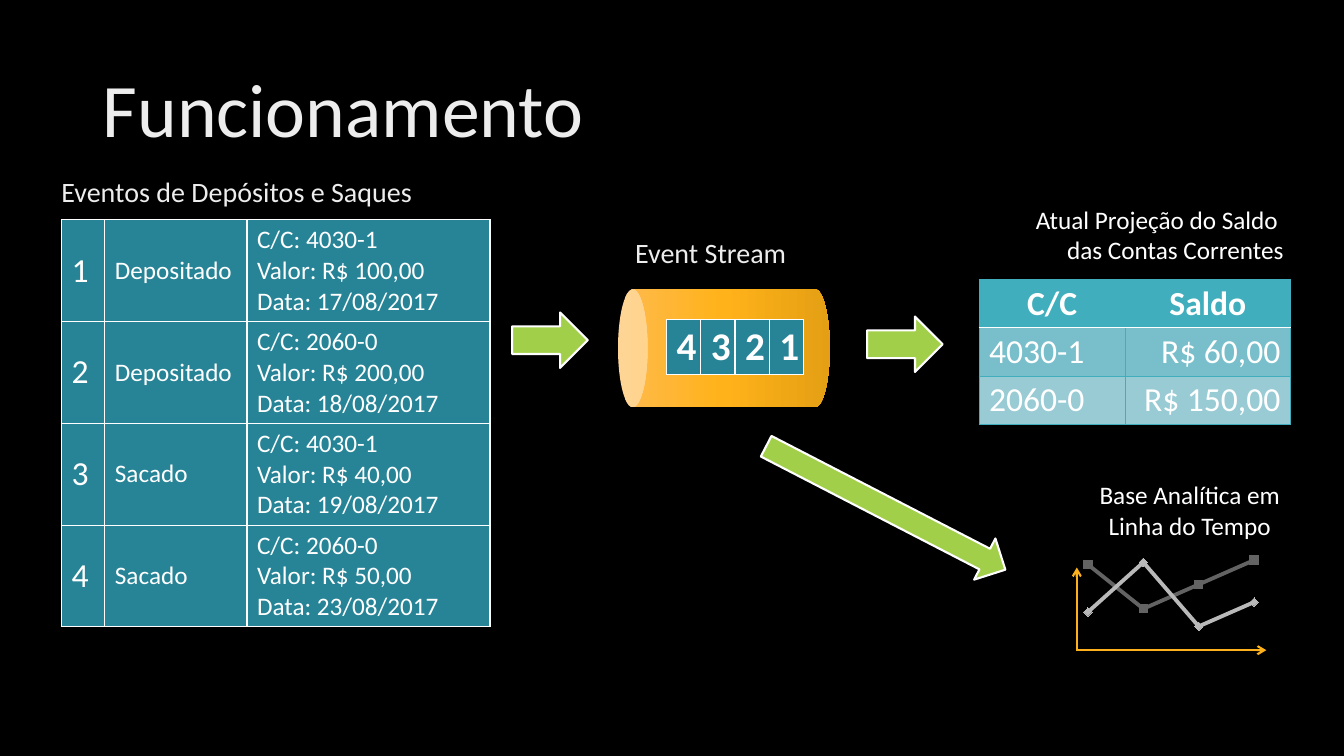
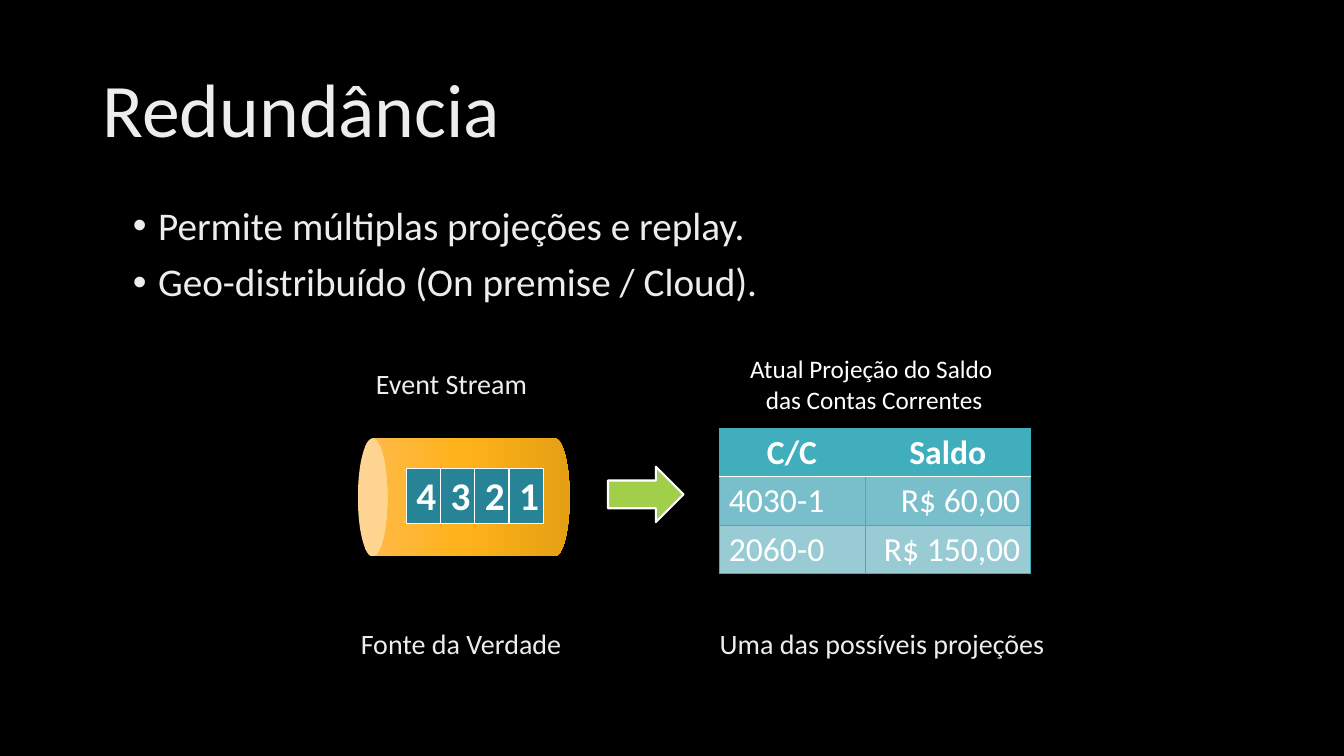
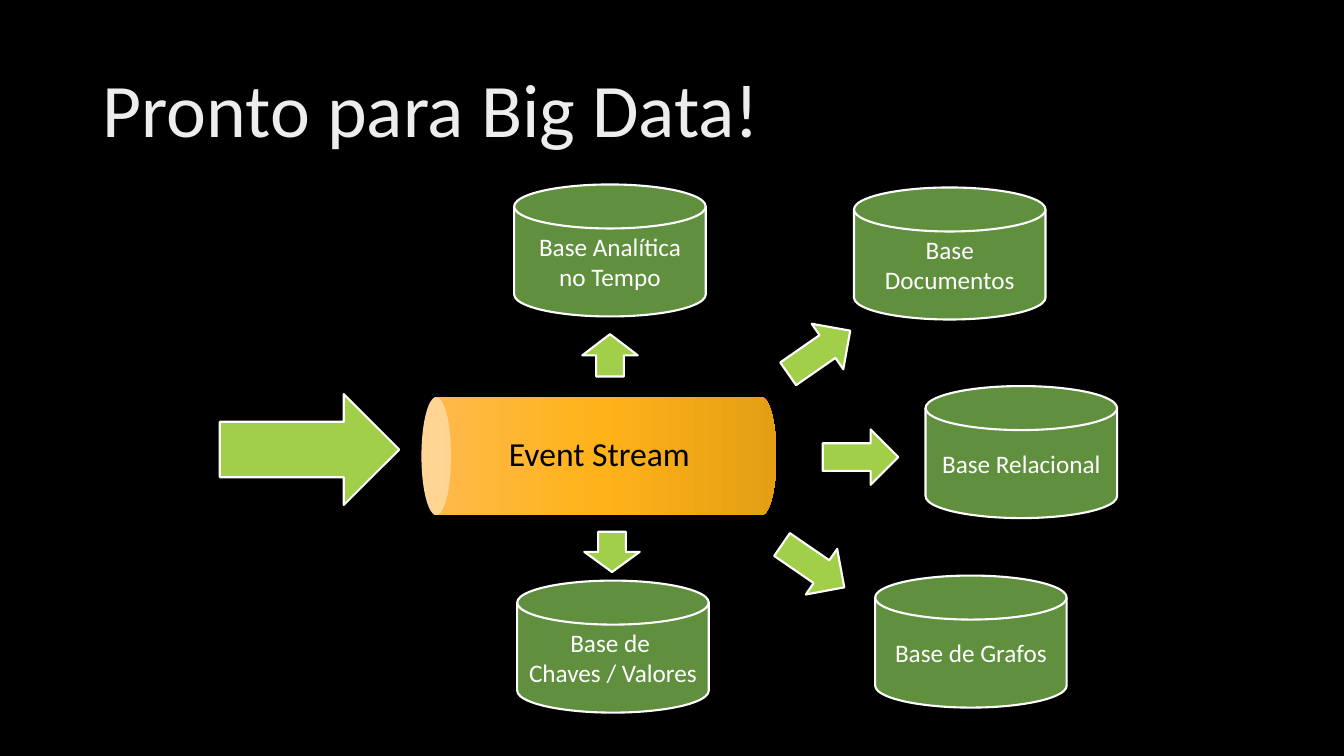
from lxml import etree
from pptx import Presentation
from pptx.chart.data import CategoryChartData
from pptx.dml.color import RGBColor
from pptx.enum.chart import XL_CHART_TYPE, XL_MARKER_STYLE
from pptx.enum.shapes import MSO_CONNECTOR, MSO_SHAPE
from pptx.enum.text import MSO_ANCHOR, PP_ALIGN
from pptx.oxml import parse_xml
from pptx.oxml.ns import nsdecls, qn
from pptx.util import Pt

SCALE = 9144  # EMU per px, 100 px to the inch
FONT = "Calibri"
COLORS = {
    "background": "000000", "white": "FFFFFF", "heading": "EDEDED", "black": "000000",
    "event": "268496", "header": "41AEBD", "row_odd": "78BFCB", "row_even": "99CBD4",
    "arrow": "A2CF49", "database": "608F3D", "axis": "FCB11C",
    "series_dark": "636363", "series_light": "B9B9B9",
}
STREAM_STOPS = [(0, "FFBA4F"), (50, "FFB219"), (100, "E59F14")]
LEFT, CENTER, RIGHT = PP_ALIGN.LEFT, PP_ALIGN.CENTER, PP_ALIGN.RIGHT
TOP, MIDDLE = MSO_ANCHOR.TOP, MSO_ANCHOR.MIDDLE


def px(n):
    return round(n * SCALE)


def rgb(name):
    return RGBColor.from_string(COLORS[name])


# Text
def write(tf, text, size, color="white", align=LEFT, bold=False, spacing=None):
    tf.text = text
    for p in tf.paragraphs:
        p.alignment = align
        if spacing:
            p.line_spacing = spacing
        for r in p.runs:
            r.font.name, r.font.size, r.font.bold = FONT, Pt(size), bold
            r.font.color.rgb = rgb(color)


def add_text(s, box, text, size, anchor=TOP, wrap=True, **style):
    tf = s.shapes.add_textbox(*map(px, box)).text_frame
    tf.word_wrap = wrap
    tf.vertical_anchor = anchor
    write(tf, text, size, **style)
    return tf


def add_label(s, x, y, w, text):
    add_text(s, (x, y, w, 88), text, 20, MIDDLE, color="heading", spacing=0.9)


def add_bullets(s, box, items):
    tf = add_text(s, box, "\n".join(items), 28, color="heading", spacing=0.9)
    for i, p in enumerate(tf.paragraphs):
        pPr = p._p.get_or_add_pPr()
        pPr.set("marL", str(px(25)))
        pPr.set("indent", str(px(-25)))
        etree.SubElement(pPr, qn("a:buFont")).set("typeface", "Arial")
        etree.SubElement(pPr, qn("a:buChar")).set("char", "•")
        if i:
            p.space_before = Pt(10)


# Shapes
def add_shape(s, kind, box, fill, rotation=0):
    sp = s.shapes.add_shape(kind, *map(px, box))
    sp.shadow.inherit = False
    sp.rotation = rotation
    sp.fill.solid()
    sp.fill.fore_color.rgb = rgb(fill)
    sp.line.color.rgb = rgb("white")
    sp.line.width = Pt(1.5)
    return sp


def add_arrow(s, x, y, w=75, h=55, rotation=0):
    add_shape(s, MSO_SHAPE.RIGHT_ARROW, (x, y, w, h), "arrow", rotation)


def add_database(s, x, y, text):
    sp = add_shape(s, MSO_SHAPE.FLOWCHART_MAGNETIC_DISK, (x, y, 190, 131), "database")
    sp.text_frame.word_wrap = True
    sp.text_frame.vertical_anchor = MIDDLE
    write(sp.text_frame, text, 18, align=CENTER)


def add_stream(s, x, y, length):
    """A can lying on its side, with x, y as its visible top left corner."""
    h = 117
    shift = (length - h) / 2
    sp = s.shapes.add_shape(MSO_SHAPE.CAN, px(x + shift), px(y - shift), px(h), px(length))
    sp.rotation = 270
    sp.shadow.inherit = False
    sp.line.fill.background()
    stops = "".join(f'<a:gs pos="{pos * 1000}"><a:srgbClr val="{c}"/></a:gs>'
                    for pos, c in STREAM_STOPS)
    gradient = parse_xml(f'<a:gradFill {nsdecls("a")} rotWithShape="1"><a:gsLst>{stops}'
                         '</a:gsLst><a:lin ang="5400000" scaled="0"/></a:gradFill>')
    sp._element.spPr.find(qn("a:prstGeom")).addnext(gradient)


def add_axis(s, x1, y1, x2, y2):
    line = s.shapes.add_connector(MSO_CONNECTOR.STRAIGHT, *map(px, (x1, y1, x2, y2)))
    line.line.color.rgb = rgb("axis")
    line.line.width = Pt(1.5)
    etree.SubElement(line.line._get_or_add_ln(), qn("a:tailEnd")).set("type", "arrow")
    etree.SubElement(line._element.spPr, qn("a:effectLst"))


# Tables
def add_table(s, x, y, widths, row_height, rows):
    frame = s.shapes.add_table(rows, len(widths), px(x), px(y),
                               px(sum(widths)), px(row_height * rows))
    table = frame.table
    table.first_row = table.horz_banding = False
    for column, w in zip(table.columns, widths):
        column.width = px(w)
    for row in table.rows:
        row.height = px(row_height)
    return table


def fill_cell(cell, text, size, fill, borders, margin=5, anchor=TOP, **style):
    """borders gives (colour, points) for the left, right, top and bottom edges."""
    cell.fill.solid()
    cell.fill.fore_color.rgb = rgb(fill)
    cell.margin_top = cell.margin_bottom = px(margin)
    cell.vertical_anchor = anchor
    write(cell.text_frame, text, size, **style)
    tcPr = cell._tc.get_or_add_tcPr()
    for i, (side, (color, width)) in enumerate(zip("LRTB", borders)):
        tcPr.insert(i, parse_xml(
            f'<a:ln{side} {nsdecls("a")} w="{Pt(width)}"><a:solidFill>'
            f'<a:srgbClr val="{COLORS[color]}"/></a:solidFill></a:ln{side}>'))


def add_events(s, x, y, events):
    table = add_table(s, x, y, (43, 141, 241), 101, len(events))
    for i, (kind, account, value, date) in enumerate(events):
        details = f"C/C: {account} \vValor: R$ {value}\nData: {date}"
        cells = (str(i + 1), 24, MIDDLE), (kind, 18, MIDDLE), (details, 18, TOP)
        for j, (text, size, anchor) in enumerate(cells):
            fill_cell(table.cell(i, j), text, size, "event", [("white", 1)] * 4, anchor=anchor)


def add_balances(s, x, y):
    rows = [("C/C", "Saldo"), ("4030-1", "R$ 60,00"), ("2060-0", "R$ 150,00")]
    fills = "header", "row_odd", "row_even"
    thin, rule = ("header", 0.5), ("white", 1)
    table = add_table(s, x, y, (145, 164), 46, len(rows))
    for i, row in enumerate(rows):
        borders = [thin, thin, rule if i == 1 else thin, rule if i == 0 else thin]
        for j, text in enumerate(row):
            align = CENTER if i == 0 else (LEFT, RIGHT)[j]
            fill_cell(table.cell(i, j), text, 24, fills[i], borders, 4,
                      align=align, bold=i == 0)


def add_numbered_stream(s, x, y):
    add_stream(s, x, y, 210)
    table = add_table(s, x + 48, y + 30, [34] * 4, 54, 1)
    for j, number in enumerate("4321"):
        fill_cell(table.cell(0, j), number, 28, "event", [("white", 1)] * 4, 4, bold=True)


# Chart
def add_timeline(s, box):
    data = CategoryChartData()
    data.categories = ["1", "2", "3", "4"]
    data.add_series("Series 1", (96, 56, 78, 100))
    data.add_series("Series 2", (53, 98, 40, 62))
    chart = s.shapes.add_chart(XL_CHART_TYPE.LINE_MARKERS, *map(px, box), data).chart
    chart.has_legend = chart.has_title = False
    chart.font.name, chart.font.size = FONT, Pt(18)
    chart.font.color.rgb = rgb("white")
    chart.category_axis.visible = chart.value_axis.visible = False
    chart.value_axis.has_major_gridlines = False
    chart.value_axis.minimum_scale, chart.value_axis.maximum_scale = 0, 112
    looks = (("series_dark", XL_MARKER_STYLE.SQUARE), ("series_light", XL_MARKER_STYLE.DIAMOND))
    for series, (color, marker) in zip(chart.plots[0].series, looks):
        series.smooth = False
        series.format.line.color.rgb = rgb(color)
        series.format.line.width = Pt(2.75)
        series.marker.style, series.marker.size = marker, 6
        series.marker.format.fill.solid()
        series.marker.format.fill.fore_color.rgb = rgb(color)
        series.marker.format.line.color.rgb = rgb(color)
    # Fixed inner plot area
    plot_area = chart._chartSpace.chart.plotArea
    for old in plot_area.findall(qn("c:layout")):
        plot_area.remove(old)
    place = "".join(f'<c:{k} val="{v}"/>' for k, v in (
        ("layoutTarget", "inner"), ("xMode", "edge"), ("yMode", "edge"),
        ("x", 0.02), ("y", 0.02), ("w", 0.96), ("h", 0.96)))
    plot_area.insert(0, parse_xml(f'<c:layout {nsdecls("c")}><c:manualLayout>{place}'
                                  '</c:manualLayout></c:layout>'))


# Slides
def new_slide(prs, title):
    s = prs.slides.add_slide(prs.slide_layouts[6])
    add_text(s, (92, 40, 1150, 145), title, 54, MIDDLE, color="heading", spacing=0.9)
    return s


def build_operation(prs):
    s = new_slide(prs, "Funcionamento")
    add_label(s, 51, 148, 439, "Eventos de Depósitos e Saques")
    add_events(s, 61, 218, [
        ("Depositado", "4030-1", "100,00", "17/08/2017"),
        ("Depositado", "2060-0", "200,00", "18/08/2017"),
        ("Sacado", "4030-1", "40,00", "19/08/2017"),
        ("Sacado", "2060-0", "50,00", "23/08/2017"),
    ])
    add_arrow(s, 508, 310)
    add_label(s, 620, 208, 178, "Event Stream")
    add_numbered_stream(s, 613, 287)
    add_arrow(s, 860, 314)
    add_arrow(s, 745, 481, 267, 46, 27.3)
    add_text(s, (947, 198, 336, 71), "Atual Projeção do Saldo \vdas Contas Correntes", 18,
             align=RIGHT)
    add_balances(s, 971, 277)
    add_text(s, (1078, 471, 204, 71), "Base Analítica em\vLinha do Tempo", 18,
             wrap=False, align=CENTER)
    add_timeline(s, (1047, 540, 229, 128))
    add_axis(s, 1067, 645, 1256, 645)
    add_axis(s, 1068, 646, 1068, 563)


def build_redundancy(prs):
    s = new_slide(prs, "Redundância")
    add_bullets(s, (122, 200, 1119, 476), ["Permite múltiplas projeções e replay.",
                                           "Geo-distribuído (On premise / Cloud)."])
    add_label(s, 363, 338, 178, "Event Stream")
    add_numbered_stream(s, 355, 435)
    add_label(s, 348, 596, 226, "Fonte da Verdade")
    add_arrow(s, 603, 463)
    add_text(s, (629, 346, 476, 71), "Atual Projeção do Saldo \vdas Contas Correntes", 18,
             align=CENTER)
    add_balances(s, 713, 425)
    add_label(s, 704, 596, 374, "Uma das possíveis projeções")


def build_big_data(prs):
    s = new_slide(prs, "Pronto para Big Data!")
    add_stream(s, 418, 394, 352)
    add_text(s, (457, 408, 275, 88), "Event Stream", 24, MIDDLE,
             color="black", align=CENTER, spacing=0.9)
    for x, y, text in [
        (918, 383, "Base Relacional"),
        (868, 571, "Base de Grafos"),
        (513, 576, "Base de \vChaves / Valores"),
        (510, 183, "Base Analítica no Tempo"),
        (847, 186, "Base Documentos"),
    ]:
        add_database(s, x, y, text)
    for x, y, w, h, rotation in [
        (218, 391, 178, 110, 0),
        (816, 426, 75, 55, 0),
        (769, 534, 75, 55, 34.5),
        (775, 322, 75, 55, 325.2),
        (584, 325, 42, 55, 270),
        (587, 520, 40, 55, 90),
    ]:
        add_arrow(s, x, y, w, h, rotation)


def main():
    prs = Presentation()
    prs.slide_width, prs.slide_height = px(1333), px(750)
    background = prs.slide_master.background.fill
    background.solid()
    background.fore_color.rgb = rgb("background")
    build_operation(prs)
    build_redundancy(prs)
    build_big_data(prs)
    prs.save("out.pptx")


if __name__ == "__main__":
    main()
